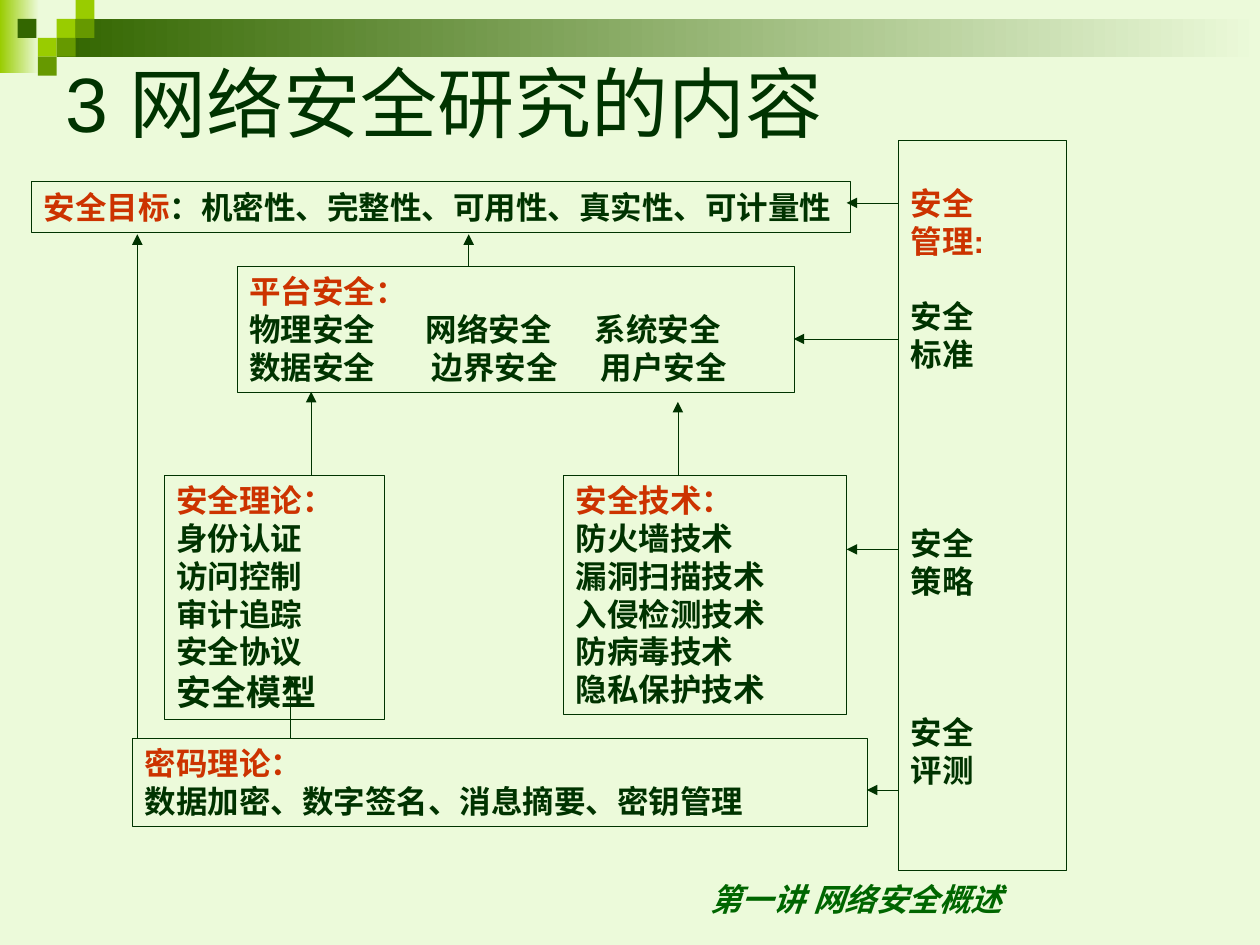
from pptx import Presentation
from pptx.dml.color import RGBColor
from pptx.enum.shapes import MSO_CONNECTOR, MSO_SHAPE
from pptx.enum.text import MSO_ANCHOR, PP_ALIGN
from pptx.oxml.ns import qn
from pptx.util import Inches, Pt
from lxml import etree

RECT, LINE = MSO_SHAPE.RECTANGLE, MSO_CONNECTOR.STRAIGHT
TOP, MID, LOW = MSO_ANCHOR.TOP, MSO_ANCHOR.MIDDLE, MSO_ANCHOR.BOTTOM
LEFT, MIDST = PP_ALIGN.LEFT, PP_ALIGN.CENTER


class Theme:
    back, ink, red, foot = "ECFADA", "003300", "CC3300", "006600"
    lime, leaf, deep = "99CC00", "669900", "336600"
    font, alt = "Arial", "Roboto"
    body, large, head = 18, 20, 44
    thin, lead = 0.25, 21.6


# Content: lengths are cells of a grid, 100 columns by 75 rows
TITLE = "3 网络安全研究的内容"
FOOT = "第一讲 网络安全概述"

# Each box: place, heading, text after the heading, lines below
BOXES = [
    ((2.5, 14.4, 65, 4), "安全目标", "：机密性、完整性、可用性、真实性、可计量性", []),
    ((18.8, 21.1, 44.2, 10), "平台安全：", "",
     ["物理安全\t网络安全\t系统安全", "数据安全\t边界安全\t用户安全"]),
    ((13, 37.7, 17.5, 19.4), "安全理论：", "",
     ["身份认证", "访问控制", "审计追踪", "安全协议", "安全模型"]),
    ((44.7, 37.7, 22.5, 19), "安全技术：", "",
     ["防火墙技术", "漏洞扫描技术", "入侵检测技术", "防病毒技术", "隐私保护技术"]),
    ((10.5, 58.6, 58.3, 7), "密码理论：", "", ["数据加密、数字签名、消息摘要、密钥管理"]),
]
TABS = {"物理安全": (14, 27.4), "数据安全": (14.5, 27.9)}  # stops by row head
BIG = "安全模型"

# Management column: lines left free above each pair, and the pair
SIDE = (71.3, 11.1, 13.3, 58)
PAIRS = [(0, "安全", "管理:"), (1, "安全", "标准"), (4, "安全", "策略"), (3, "安全", "评测")]

# Arrows: leftwards (row, end column), upwards (column, start row, end row)
BACK = [(16.1, 67.2), (26.9, 63), (43.6, 67.2), (62.7, 68.8)]
RISE = [(10.9, 58.6, 18.6), (37.2, 21.1, 18.6), (24.7, 37.7, 31.1),
        (53.8, 37.7, 31.9), (23, 58.6, 53.6)]

# Corner squares: column and row in squares, colour
TILES = [(3, 1, Theme.lime), (4, 0, Theme.lime), (4, 1, Theme.leaf), (2, 2, Theme.lime),
         (0.93, 1, Theme.deep), (3, 2, Theme.leaf), (2, 3, Theme.leaf)]
TILE = 1.5

deck = Presentation()
deck.slide_width, deck.slide_height = Inches(10), Inches(7.5)
CELL = deck.slide_width / 100
slide = deck.slides.add_slide(deck.slide_layouts[6])
slide.background.fill.solid()
slide.background.fill.fore_color.rgb = RGBColor.from_string(Theme.back)


def cells(*nums):
    return [round(n * CELL) for n in nums]


def block(place, fill=None, fade=False, line=None):
    shape = slide.shapes.add_shape(RECT, *cells(*place))
    shape.shadow.inherit = False
    if fade:
        shape.fill.gradient()
        shape.fill.gradient_angle = 0
        for stop, tone in zip(shape.fill.gradient_stops, (fill, Theme.back)):
            stop.color.rgb = RGBColor.from_string(tone)
    elif fill:
        shape.fill.solid()
        shape.fill.fore_color.rgb = RGBColor.from_string(fill)
    else:
        shape.fill.background()
    if line:
        shape.line.color.rgb = RGBColor.from_string(line)
        shape.line.width = Pt(Theme.thin)
    else:
        shape.line.fill.background()
    return shape


def write(para, text, size=Theme.body, tone=Theme.ink, bold=True, slant=False,
          face=Theme.font, align=LEFT, gap=0, stops=()):
    """Add a run to a paragraph, with its tab stops and format."""
    para.alignment = align
    if gap:
        para.space_before = Pt(gap)
    if stops:
        tabs = etree.SubElement(para._p.get_or_add_pPr(), qn("a:tabLst"))
        for pos in cells(*stops):
            etree.SubElement(tabs, qn("a:tab"), pos=str(pos), algn="l")
    run = para.add_run()
    run.text = text
    font = run.font
    font.size, font.bold, font.italic, font.name = Pt(size), bold, slant, face
    font.color.rgb = RGBColor.from_string(tone)
    etree.SubElement(run._r.get_or_add_rPr(), qn("a:ea"), typeface=face)


def frame(shape, anchor=TOP):
    body = shape.text_frame
    body.word_wrap = True
    body.vertical_anchor = anchor
    return body


def arrow(*ends):
    link = slide.shapes.add_connector(LINE, *cells(*ends))
    link.line.color.rgb = RGBColor.from_string(Theme.ink)
    link.line.width = Pt(Theme.thin)
    etree.SubElement(link.line._get_or_add_ln(), qn("a:tailEnd"), type="triangle")
    etree.SubElement(link._element.spPr, qn("a:effectLst"))


# Top band and corner squares
block((0, 0, 3.1, 5.8), Theme.lime, fade=True)
block((4.5, 1.5, 95.5, 3), Theme.deep, fade=True)
for col, row, tone in TILES:
    block((col * TILE, row * TILE, TILE, TILE), tone)

# Footer and title
foot = frame(slide.shapes.add_textbox(*cells(54.2, 68.3, 27.5, 5)), LOW)
write(foot.paragraphs[0], FOOT, tone=Theme.foot, slant=True, align=MIDST)
title = frame(slide.shapes.add_textbox(*cells(4.2, 0.6, 90, 15)), MID)
write(title.paragraphs[0], TITLE, size=Theme.head, bold=False)

# Topic boxes
for place, head, rest, lines in BOXES:
    body = frame(block(place, line=Theme.ink))
    write(body.paragraphs[0], head, tone=Theme.red)
    if rest:
        write(body.paragraphs[0], rest)
    for text in lines:
        form = {"size": Theme.large, "face": Theme.alt} if text == BIG else {}
        write(body.add_paragraph(), text, stops=TABS.get(text.split("\t")[0], ()), **form)

# Management column
body = frame(block(SIDE, line=Theme.ink))
body.margin_top = Inches(0.05) + Pt(Theme.lead)
for num, (free, *pair) in enumerate(PAIRS):
    tone = Theme.ink if num else Theme.red
    for row, text in enumerate(pair):
        para = body.add_paragraph() if num or row else body.paragraphs[0]
        write(para, text, tone=tone, gap=0 if row else free * Theme.lead)

# Arrows
for row, end in BACK:
    arrow(SIDE[0], row, end, row)
for col, start, end in RISE:
    arrow(col, start, col, end)

deck.save("out.pptx")
